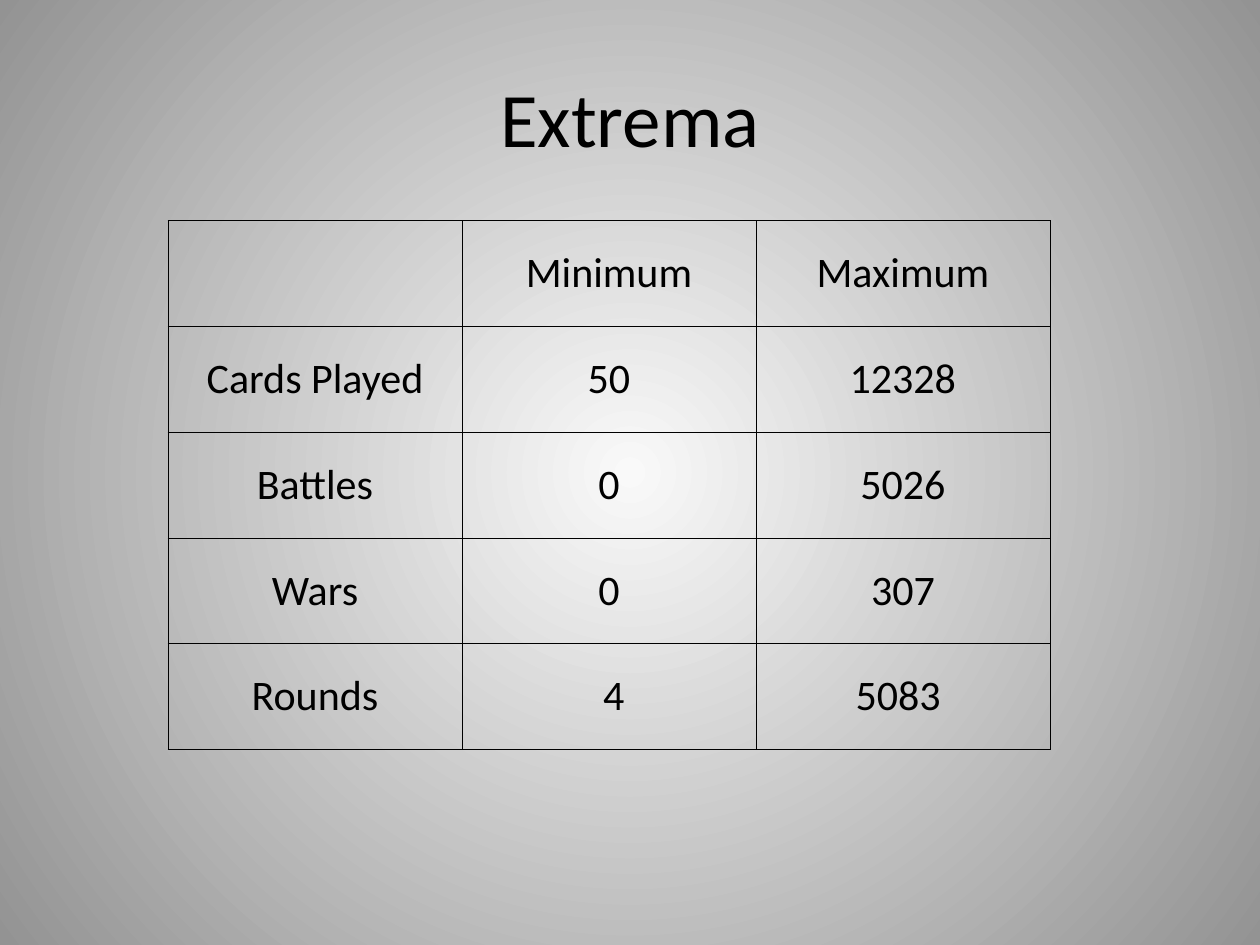
"""Build the Extrema slide: a title over a bordered table of minimum and maximum counts."""
from dataclasses import dataclass

import lxml.etree
import pptx
import pptx.dml.color
import pptx.enum.text
import pptx.oxml
import pptx.oxml.ns
import pptx.util


@dataclass(frozen=True)
class Theme:
    """Colours, font and type sizes of the slide."""
    font: str = "Calibri"
    ink: str = "000000"
    glow: str = "F9F9F9"
    edge: str = "939393"
    title_size: float = 44
    cell_size: float = 24
    border: float = 0.5


@dataclass(frozen=True)
class Box:
    """A rectangle in points."""
    left: float
    top: float
    width: float
    height: float

    def lengths(self) -> list[pptx.util.Length]:
        """Return the left, top, width and height as lengths."""
        return [pptx.util.Pt(value) for value in (self.left, self.top, self.width, self.height)]


@dataclass(frozen=True)
class Extreme:
    """One measure with its smallest and largest value."""
    label: str
    minimum: str
    maximum: str

    def texts(self) -> tuple[str, str, str]:
        """Return the texts of the row from left to right."""
        return self.label, self.minimum, self.maximum


THEME = Theme()
TITLE_BOX = Box(36, 21.6, 648, 90)
TABLE_BOX = Box(96, 126, 504, 302.4)
ROWS = (
    Extreme("", "Minimum", "Maximum"),
    Extreme("Cards Played", "50", "12328"),
    Extreme("Battles", "0", "5026"),
    Extreme("Wars", "0", "307"),
    Extreme("Rounds", " 4", "5083 "),
)


def paint_background(page: pptx.slide.Slide) -> None:
    """Fill the page with a round gradient that is light at the centre."""
    fill = page.background.fill
    fill.gradient()
    for stop, colour in zip(fill.gradient_stops, (THEME.glow, THEME.edge)):
        stop.color.rgb = pptx.dml.color.RGBColor.from_string(colour)
    gradient = page.element.find(".//" + pptx.oxml.ns.qn("a:gradFill"))
    gradient.remove(gradient.find(pptx.oxml.ns.qn("a:lin")))
    circle = lxml.etree.SubElement(gradient, pptx.oxml.ns.qn("a:path"), path="circle")
    centre = dict.fromkeys("ltrb", "50000")
    lxml.etree.SubElement(circle, pptx.oxml.ns.qn("a:fillToRect"), centre)


def write_centred(frame: pptx.text.text.TextFrame, text: str, size: float) -> None:
    """Write one centred run in the theme font."""
    para = frame.paragraphs[0]
    para.alignment = pptx.enum.text.PP_ALIGN.CENTER
    span = para.add_run()
    span.text = text
    span.font.name = THEME.font
    span.font.size = pptx.util.Pt(size)
    span.font.color.rgb = pptx.dml.color.RGBColor.from_string(THEME.ink)


def draw_borders(cell: pptx.table._Cell) -> None:
    """Rule all four sides of a cell."""
    properties = cell._tc.get_or_add_tcPr()
    width = str(int(pptx.util.Pt(THEME.border)))
    for side in "LRTB":
        line = lxml.etree.SubElement(properties, pptx.oxml.ns.qn(f"a:ln{side}"), w=width)
        solid = lxml.etree.SubElement(line, pptx.oxml.ns.qn("a:solidFill"))
        lxml.etree.SubElement(solid, pptx.oxml.ns.qn("a:srgbClr"), val=THEME.ink)


def draw_cell(cell: pptx.table._Cell, text: str) -> None:
    """Give a cell its borders, clear fill and centred text."""
    draw_borders(cell)
    cell.fill.background()
    cell.margin_left = cell.margin_right = cell.margin_top = cell.margin_bottom = pptx.util.Pt(0)
    cell.vertical_anchor = pptx.enum.text.MSO_ANCHOR.MIDDLE
    if text:
        write_centred(cell.text_frame, text, THEME.cell_size)


def draw_title(page: pptx.slide.Slide, text: str, box: Box) -> None:
    """Place and write the title placeholder."""
    title = page.shapes.title
    title.left, title.top, title.width, title.height = box.lengths()
    title.text_frame.vertical_anchor = pptx.enum.text.MSO_ANCHOR.MIDDLE
    write_centred(title.text_frame, text, THEME.title_size)


def draw_table(page: pptx.slide.Slide, rows: tuple[Extreme, ...], box: Box) -> None:
    """Draw the rows as a table with equal columns and equal rows."""
    table = page.shapes.add_table(len(rows), len(rows[0].texts()), *box.lengths()).table
    table.first_row = table.horz_banding = False
    for row, extreme in zip(table.rows, rows):
        for cell, text in zip(row.cells, extreme.texts()):
            draw_cell(cell, text)


def main() -> None:
    """Build and save the deck."""
    deck = pptx.Presentation()
    deck.slide_width, deck.slide_height = pptx.util.Pt(720), pptx.util.Pt(540)
    page = deck.slides.add_slide(deck.slide_layouts.get_by_name("Title Only"))
    paint_background(page)
    draw_title(page, "Extrema", TITLE_BOX)
    draw_table(page, ROWS, TABLE_BOX)
    deck.save("out.pptx")


if __name__ == "__main__":
    main()
